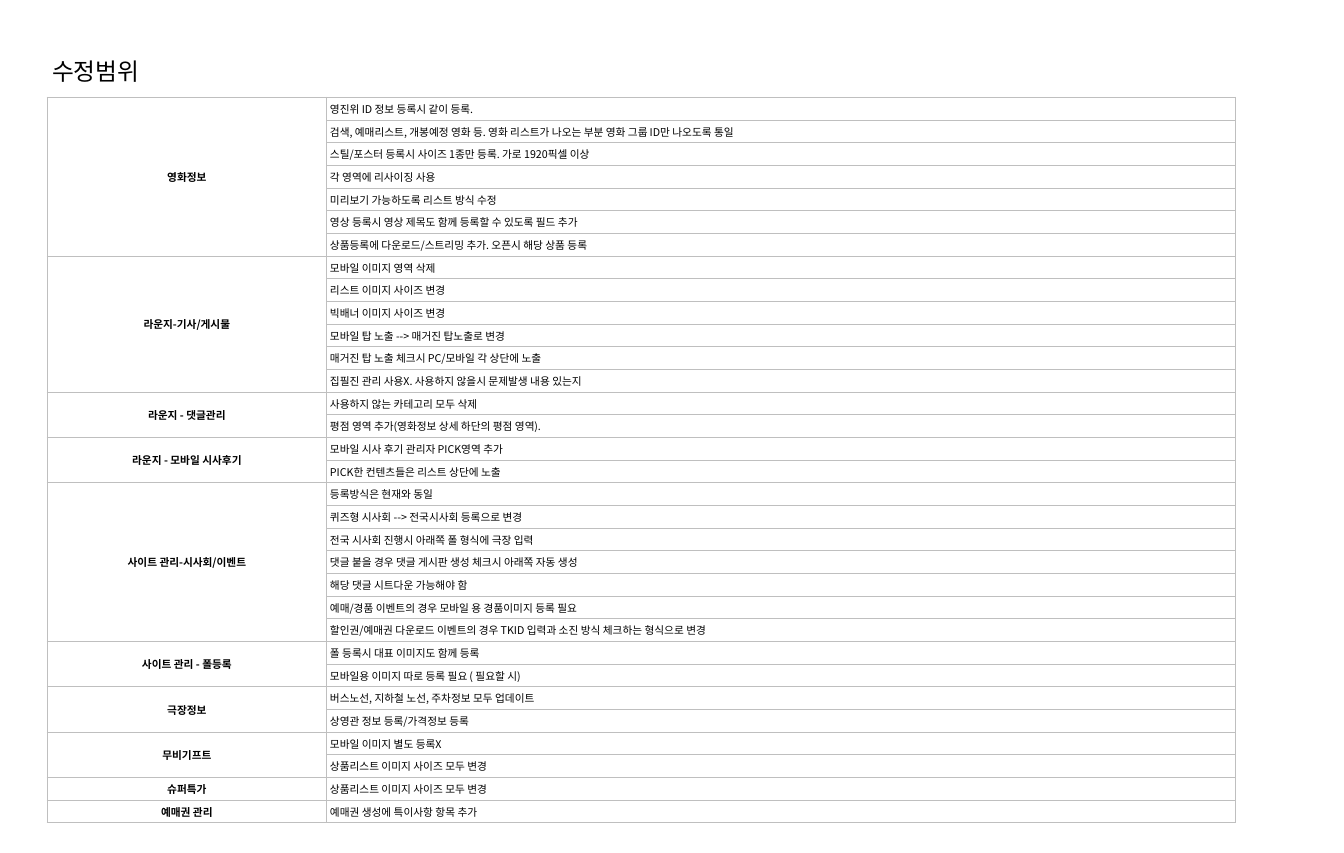
from lxml import etree
from pptx import Presentation
from pptx import util as u
from pptx.dml.color import RGBColor
from pptx.enum import text
from pptx.oxml import ns

BLACK = RGBColor(0x00, 0x00, 0x00)
GREY = RGBColor(0xBF, 0xBF, 0xBF)
FACE = "Noto Sans CJK KR"
TITLE = "수정범위"
GROUPS = [
    ("영화정보", [
        "영진위 ID 정보 등록시 같이 등록.",
        "검색, 예매리스트, 개봉예정 영화 등. 영화 리스트가 나오는 부분 영화 그룹 ID만 나오도록 통일",
        "스틸/포스터 등록시 사이즈 1종만 등록. 가로 1920픽셀 이상",
        "각 영역에 리사이징 사용",
        "미리보기 가능하도록 리스트 방식 수정",
        "영상 등록시 영상 제목도 함께 등록할 수 있도록 필드 추가",
        "상품등록에 다운로드/스트리밍 추가. 오픈시 해당 상품 등록",
    ]),
    ("라운지-기사/게시물", [
        "모바일 이미지 영역 삭제",
        "리스트 이미지 사이즈 변경",
        "빅배너 이미지 사이즈 변경",
        "모바일 탑 노출 --> 매거진 탑노출로 변경",
        "매거진 탑 노출 체크시 PC/모바일 각 상단에 노출",
        "집필진 관리 사용X. 사용하지 않을시 문제발생 내용 있는지",
    ]),
    ("라운지 - 댓글관리", [
        "사용하지 않는 카테고리 모두 삭제",
        "평점 영역 추가(영화정보 상세 하단의 평점 영역).",
    ]),
    ("라운지 - 모바일 시사후기", [
        "모바일 시사 후기 관리자 PICK영역 추가",
        "PICK한 컨텐츠들은 리스트 상단에 노출",
    ]),
    ("사이트 관리-시사회/이벤트", [
        "등록방식은 현재와 동일",
        "퀴즈형 시사회 --> 전국시사회 등록으로 변경",
        "전국 시사회 진행시 아래쪽 폴 형식에 극장 입력",
        "댓글 붙을 경우 댓글 게시판 생성 체크시 아래쪽 자동 생성",
        "해당 댓글 시트다운 가능해야 함",
        "예매/경품 이벤트의 경우 모바일 용 경품이미지 등록 필요",
        "할인권/예매권 다운로드 이벤트의 경우 TKID 입력과 소진 방식 체크하는 형식으로 변경",
    ]),
    ("사이트 관리 - 폴등록", [
        "폴 등록시 대표 이미지도 함께 등록",
        "모바일용 이미지 따로 등록 필요 ( 필요할 시)",
    ]),
    ("극장정보", [
        "버스노선, 지하철 노선, 주차정보 모두 업데이트",
        "상영관 정보 등록/가격정보 등록",
    ]),
    ("무비기프트", [
        "모바일 이미지 별도 등록X",
        "상품리스트 이미지 사이즈 모두 변경",
    ]),
    ("슈퍼특가", ["상품리스트 이미지 사이즈 모두 변경"]),
    ("예매권 관리", ["예매권 생성에 특이사항 항목 추가"]),
]


class Page:
    """Holds the style and the current slide, and draws each kind of element."""

    def __init__(self, slide, face, ink, rule):
        self.slide, self.face, self.ink, self.rule = slide, face, ink, rule

    def apply(self, item, form):
        for key, value in form.items():
            setattr(item, key, value)

    def label(self, para, words, size, bold=False):
        run = para.add_run()
        run.text = words
        self.apply(run.font, {"name": self.face, "size": u.Pt(size), "bold": bold})
        run.font.color.rgb = self.ink
        east = etree.SubElement(run.font._element, ns.qn("a:ea"))
        east.set("typeface", self.face)

    def title(self, words, left, top, width, height):
        box = self.slide.shapes.add_textbox(*map(u.Cm, (left, top, width, height)))
        self.apply(box.text_frame, {
            "word_wrap": True, "auto_size": text.MSO_AUTO_SIZE.SHAPE_TO_FIT_TEXT,
            "margin_left": u.Cm(0.36), "margin_right": u.Cm(0.36),
            "margin_top": u.Cm(0.18), "margin_bottom": u.Cm(0.18)})
        para = box.text_frame.paragraphs[0]
        para.line_spacing = 1.5
        self.label(para, words, 20)

    def border(self, cell):
        props = cell._tc.get_or_add_tcPr()
        for side in "LRTB":
            line = etree.SubElement(props, ns.qn(f"a:ln{side}"), w=str(u.Pt(1)))
            fill = etree.SubElement(line, ns.qn("a:solidFill"))
            etree.SubElement(fill, ns.qn("a:srgbClr"), val=str(self.rule))
        cell.fill.background()

    def fill(self, cell, words, pad, align, bold=False):
        sides = ("left", "right", "top", "bottom")
        self.apply(cell, {f"margin_{side}": u.Cm(pad) for side in sides})
        cell.vertical_anchor = text.MSO_ANCHOR.MIDDLE
        para = cell.text_frame.paragraphs[0]
        para.alignment = align
        self.label(para, words, 9, bold)

    def table(self, groups, left, top, widths, height):
        count = sum(len(items) for _, items in groups)
        size = map(u.Cm, (left, top, sum(widths), height))
        grid = self.slide.shapes.add_table(count, len(widths), *size).table
        self.apply(grid, {"first_row": False, "horz_banding": False})
        for col, width in zip(grid.columns, widths):
            col.width = u.Cm(width)
        for row in grid.rows:
            row.height = u.Cm(height / count)
        for cell in grid.iter_cells():
            self.border(cell)
        first = 0
        for name, items in groups:
            head = grid.cell(first, 0)
            if len(items) > 1:
                head.merge(grid.cell(first + len(items) - 1, 0))
            self.fill(head, name, 0, text.PP_ALIGN.CENTER, True)
            for row, item in enumerate(items, first):
                self.fill(grid.cell(row, 1), item, 0.1, text.PP_ALIGN.LEFT)
            first += len(items)


def main():
    deck = Presentation()
    deck.slide_width, deck.slide_height = u.Cm(40), u.Cm(25.4)
    page = Page(deck.slides.add_slide(deck.slide_layouts[6]), FACE, BLACK, GREY)
    page.title(TITLE, 1.19, 1.09, 24.23, 1.47)
    page.table(GROUPS, 1.4, 2.9, (8.32, 27.05), 21.6)
    deck.save("out.pptx")


if __name__ == "__main__":
    main()
